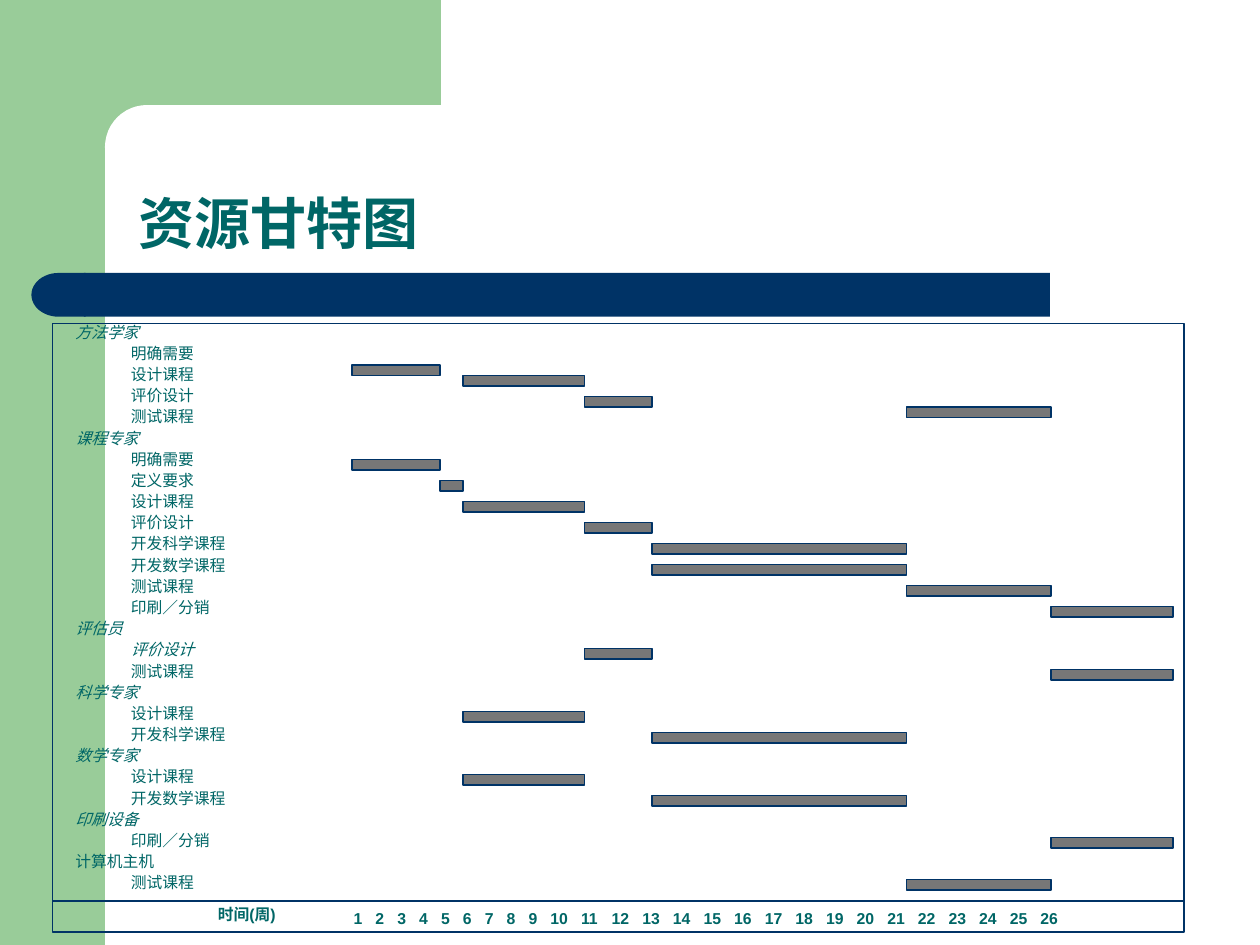
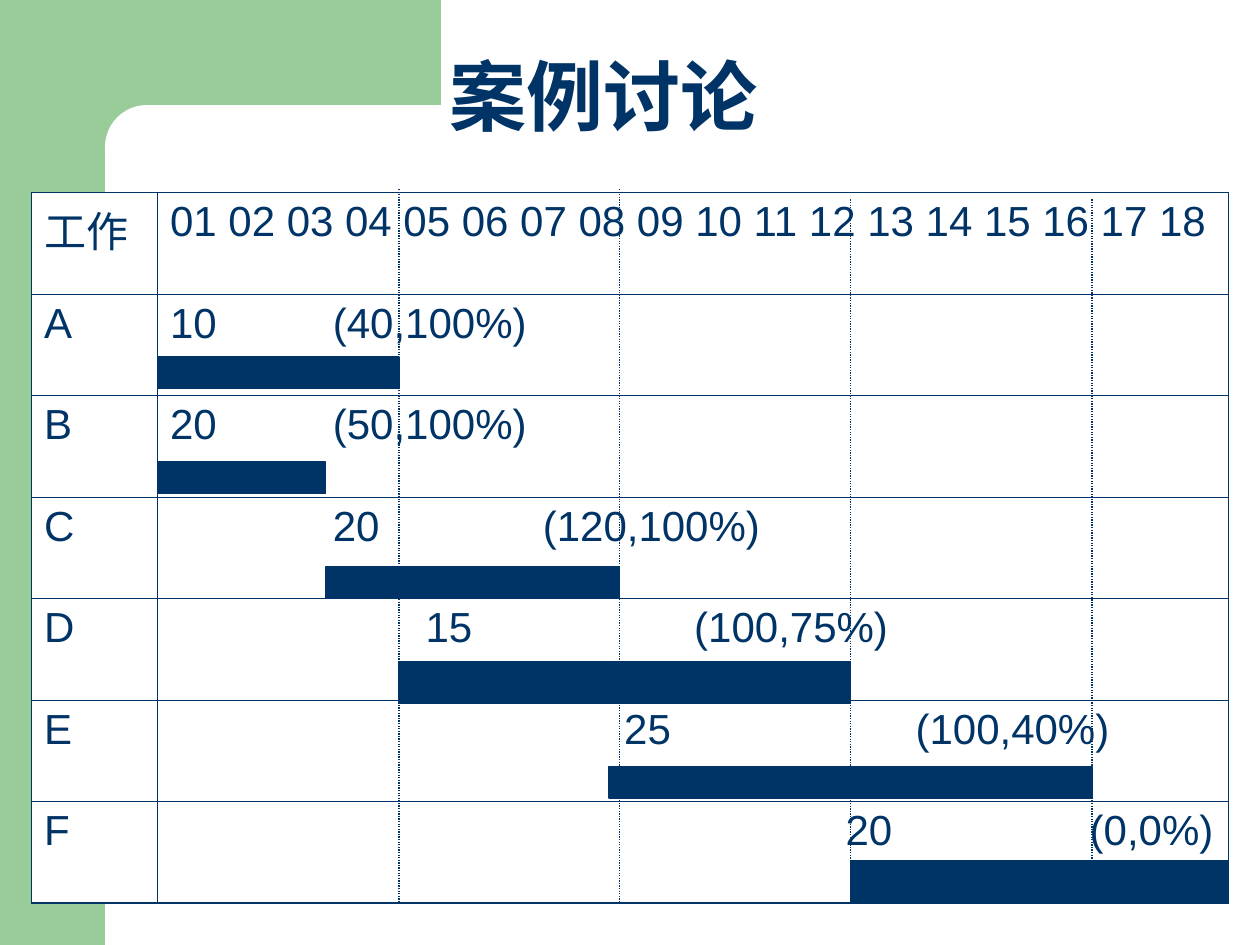
from itertools import accumulate
from pptx import Presentation
from pptx.dml.color import RGBColor as Rgb
from pptx.enum.dml import MSO_LINE as Dash
from pptx.enum.shapes import MSO_CONNECTOR as Link, MSO_SHAPE as Kind
from pptx.enum.text import MSO_ANCHOR as Anchor, MSO_AUTO_SIZE as Fit, PP_ALIGN as Align
from pptx.oxml.ns import qn
from pptx.util import Pt
from lxml.etree import SubElement as Sub

HUE = {"leaf": "99CC99", "navy": "003366", "teal": "006666",
       "gray": "777777", "white": "FFFFFF"}

EDGES = [201, 251.5, 264.5, 334, 372.5, 518, 600.5, 670.5]
PHASES = {"明确需要": 0, "定义要求": 1, "设计课程": 2, "评价设计": 3,
          "开发科学课程": 4, "开发数学课程": 4, "测试课程": 5, "印刷／分销": 6}
STAFF = [
    ("方法学家", ["明确需要", "设计课程", "评价设计", "测试课程"]),
    ("课程专家", ["明确需要", "定义要求", "设计课程", "评价设计", "开发科学课程",
              "开发数学课程", "测试课程", "印刷／分销"]),
    ("评估员", ["评价设计", "测试课程"]),
    ("科学专家", ["设计课程", "开发科学课程"]),
    ("数学专家", ["设计课程", "开发数学课程"]),
    ("印刷设备", ["印刷／分销"]),
    ("计算机主机", ["测试课程"]),
]
LATE = ("评估员", "测试课程")
SLANT = ("评估员", "评价设计")
NUDGE = {1: 6, 4: -6}

JOBS = [
    ("A", "10\t(40,100%)", [93]),
    ("B", "20\t(50,100%)", [93]),
    ("C", "\t20\t(120,100%)", [93, 213]),
    ("D", "\t15\t(100,75%)", [146, 299.5]),
    ("E", "\t25\t(100,40%)", [259.5, 426]),
    ("F", "\t20\t(0,0%)", [386, 525.5]),
]
BARS = [(90, 204, 138, 18), (90, 264, 96, 18), (186, 324, 168, 18),
        (228, 378, 258, 24), (348, 438, 276, 18), (486, 492, 216, 24)]


def tint(name):
    return Rgb.from_string(HUE[name])


def block(slide, box, fill=None, line=None, width=1, kind=Kind.RECTANGLE):
    shape = slide.shapes.add_shape(kind, *map(Pt, box))
    shape.shadow.inherit = False
    if fill:
        shape.fill.solid()
        shape.fill.fore_color.rgb = tint(fill)
    else:
        shape.fill.background()
    if line:
        shape.line.color.rgb = tint(line)
        shape.line.width = Pt(width)
    else:
        shape.line.fill.background()
    return shape


def rule(slide, x1, y1, x2, y2, width=1, dash=None):
    line = slide.shapes.add_connector(Link.STRAIGHT, *map(Pt, (x1, y1, x2, y2)))
    line.line.color.rgb = tint("navy")
    line.line.width = Pt(width)
    if dash:
        line.line.dash_style = dash
    Sub(line.element.spPr, qn("a:effectLst"))


def write(para, text, size, hue, bold=False, slant=False, face="Arial"):
    run = para.add_run()
    run.text = text
    font = run.font
    font.name, font.size, font.bold, font.italic = face, Pt(size), bold, slant
    font.color.rgb = tint(hue)


def set_tabs(para, stops):
    tabs = Sub(para._p.get_or_add_pPr(), qn("a:tabLst"))
    for stop in stops:
        Sub(tabs, qn("a:tab"), pos=str(Pt(stop)), algn="l")


def label(slide, box):
    frame = slide.shapes.add_textbox(*map(Pt, box)).text_frame
    frame.word_wrap = True
    frame.vertical_anchor = Anchor.BOTTOM
    return frame


def head(slide, box, text, size, hue, face, anchor, lead=1.0):
    title = slide.shapes.title
    title.left, title.top, title.width, title.height = map(Pt, box)
    frame = title.text_frame
    frame.auto_size = Fit.NONE
    frame.word_wrap = True
    frame.vertical_anchor = anchor
    para = frame.paragraphs[0]
    para.alignment = Align.LEFT
    para.line_spacing = lead
    write(para, text, size, hue, bold=True, face=face)


def backdrop(slide, layout):
    for holder in list(layout.placeholders)[1:]:
        holder.element.getparent().remove(holder.element)
    parts = [block(slide, (0, 0, 60, 540), "leaf"),
             block(slide, (54, 0, 198, 84), "leaf"),
             block(slide, (60, 60, 402, 48), "white", kind=Kind.ROUNDED_RECTANGLE),
             block(slide, (48, 156, 552, 25), "navy"),
             block(slide, (18, 156, 31, 25), "navy", kind=Kind.FLOWCHART_DELAY)]
    parts[2].adjustments[0] = 0.5
    parts[4].element.spPr.find(qn("a:xfrm")).set("flipH", "1")
    for part in parts:
        layout.shapes.element.append(part.element)


def gantt(slide, box):
    x, y, w, h = box
    rows = [(who, job) for who, jobs in STAFF for job in [None] + jobs]
    frame = label(slide, (x + 6, y, 165, 328))
    for row, (who, job) in enumerate(rows):
        para = frame.paragraphs[0] if row == 0 else frame.add_paragraph()
        para.line_spacing = 0.6
        para.space_before = Pt(5.6)
        if job:
            para._p.get_or_add_pPr().set("marL", str(Pt(31.7)))
        slant = (who, job) == SLANT or (not job and who != "计算机主机")
        write(para, job or who, 9, "teal", slant=slant)
    block(slide, box, line="navy")
    rule(slide, x, y + 330, x + w, y + 330)
    for row, (who, job) in enumerate(rows):
        if job:
            phase = 6 if (who, job) == LATE else PHASES[job]
            left, right = EDGES[phase:phase + 2]
            top = y + 5.8 + 12 * row + NUDGE.get(row, 0)
            block(slide, (left, top, right - left, 6), "gray", "navy")
    para = label(slide, (x + 165, y + 331, 507, 18)).paragraphs[0]
    para.space_before = Pt(5.6)
    set_tabs(para, accumulate([12.5] * 9 + [17.5] * 16))
    write(para, "\t".join(str(week) for week in range(1, 27)), 9, "teal", bold=True)
    para = label(slide, (x + 76, y + 328.5, 70, 18)).paragraphs[0]
    para.alignment = Align.CENTER
    para.space_before = Pt(5.6)
    write(para, "时间(周)", 9, "teal", bold=True)


def edge(cell, outer):
    props = cell._tc.get_or_add_tcPr()
    for side in "LRTB":
        width = 1.08 if side in outer else 0.45
        line = Sub(props, qn("a:ln" + side), w=str(Pt(width)))
        fill = Sub(line, qn("a:solidFill"))
        Sub(fill, qn("a:srgbClr"), val=HUE["navy"])


def plan(slide, box):
    x, y, w, h = box
    weeks = " ".join(f"{week:02}" for week in range(1, 19))
    rows = [("工作", weeks, [])] + JOBS
    table = slide.shapes.add_table(len(rows), 2, *map(Pt, box)).table
    table.first_row = table.horz_banding = False
    table.columns[0].width, table.columns[1].width = Pt(72), Pt(w - 72)
    for r, (name, text, stops) in enumerate(rows):
        table.rows[r].height = Pt(h / len(rows))
        for c, words in enumerate((name, text)):
            cell = table.cell(r, c)
            cell.margin_right = Pt(2)
            ends = "T" if r == 0 else "B" if r == len(rows) - 1 else ""
            edge(cell, "LR"[c] + ends)
            cell.fill.solid()
            cell.fill.fore_color.rgb = tint("white")
            para = cell.text_frame.paragraphs[0]
            para.space_before = Pt(6)
            if c and stops:
                set_tabs(para, stops)
            write(para, words, 24, "navy")
    for bar in BARS:
        block(slide, bar, "navy", "navy", 0.75)
    for mark, top in ((228, 108), (354, 108), (486, 114), (624, 114)):
        rule(slide, mark, top, mark, y + h, 0.75, Dash.ROUND_DOT)


def main():
    prs = Presentation()
    prs.slide_width, prs.slide_height = Pt(720), Pt(540)
    layout = prs.slide_layouts[5]
    slide = prs.slides.add_slide(layout)
    backdrop(slide, layout)
    head(slide, (72, 60, 630, 90), "资源甘特图", 32, "teal", "Arial",
         Anchor.BOTTOM, 0.9)
    gantt(slide, (30, 184.8, 646.5, 348))
    slide = prs.slides.add_slide(layout)
    head(slide, (249.5, 24, 210, 60), "案例讨论", 44, "navy", "Times New Roman",
         Anchor.TOP)
    plan(slide, (18, 110, 684, 406))
    prs.save("out.pptx")


if __name__ == "__main__":
    main()
